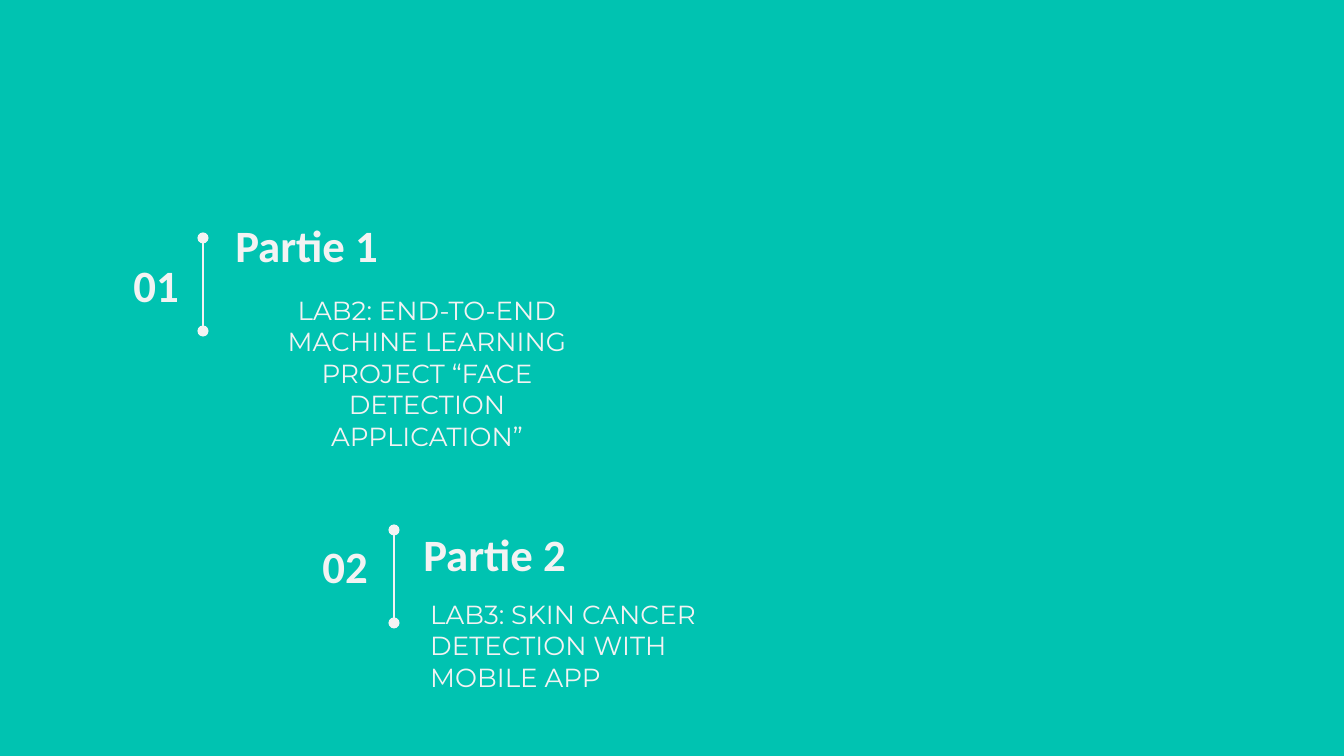
from lxml.etree import SubElement
from pptx import Presentation
from pptx.dml.color import RGBColor
from pptx.enum.shapes import MSO_CONNECTOR
from pptx.enum.text import MSO_ANCHOR, PP_ALIGN
from pptx.oxml.ns import qn
from pptx.util import Emu, Pt

SCALE = 914400 / 134.4


def px(num):
    return Emu(round(num * SCALE))


def color(code):
    return RGBColor.from_string(code)


class Deck:
    ink = "F3F3F3"
    back = "00C3B1"
    head = {"name": "Calibri", "size": Pt(24), "bold": True}
    body = {"name": "Montserrat", "size": Pt(14), "bold": False}

    def __init__(self, wide, high):
        self.show = Presentation()
        self.show.slide_width, self.show.slide_height = px(wide), px(high)
        self.slide = self.show.slides.add_slide(self.show.slide_layouts[6])
        fill = self.slide.background.fill
        fill.solid()
        fill.fore_color.rgb = color(self.back)

    def text(self, words, area, style, align=PP_ALIGN.LEFT,
             anchor=MSO_ANCHOR.MIDDLE):
        box = self.slide.shapes.add_textbox(*map(px, area))
        frame = box.text_frame
        form = {"word_wrap": True, "vertical_anchor": anchor}
        for side in ("left", "top", "right", "bottom"):
            form["margin_" + side] = Pt(7.2)
        for key, value in form.items():
            setattr(frame, key, value)
        para = frame.paragraphs[0]
        para.alignment = align
        run = para.add_run()
        run.text = words
        for key, value in style.items():
            setattr(run.font, key, value)
        run.font.color.rgb = color(self.ink)

    def rule(self, left, top, high):
        line = self.slide.shapes.add_connector(
            MSO_CONNECTOR.STRAIGHT, px(left), px(top), px(left), px(top + high))
        line.line.width = Pt(1.5)
        line.line.color.rgb = color(self.ink)
        # Round dots at both ends
        edge = line.line._get_or_add_ln()
        for end in ("a:headEnd", "a:tailEnd"):
            SubElement(edge, qn(end), type="oval")
        SubElement(line._element.spPr, qn("a:effectLst"))


def main():
    deck = Deck(1344, 756)

    # Number, title and rule of each part
    parts = [
        ("01", (103, 254), "Partie 1", (222, 214), (203, 238)),
        ("02", (292, 535), "Partie 2", (410, 523), (394, 530)),
    ]
    for number, spot, title, place, start in parts:
        deck.text(title, (*place, 344, 62), deck.head)
        deck.text(number, (*spot, 89, 62), deck.head, PP_ALIGN.RIGHT)
        deck.rule(*start, 93)

    # Lab names
    labs = [
        ("LAB2: END-TO-END MACHINE LEARNING PROJECT “FACE DETECTION APPLICATION”",
         (242, 281, 370, 171), PP_ALIGN.CENTER),
        ("LAB3: SKIN CANCER DETECTION WITH MOBILE APP",
         (417, 585, 367, 128), PP_ALIGN.LEFT),
    ]
    for words, area, align in labs:
        deck.text(words, area, deck.body, align, MSO_ANCHOR.TOP)

    deck.show.save("out.pptx")


if __name__ == "__main__":
    main()
